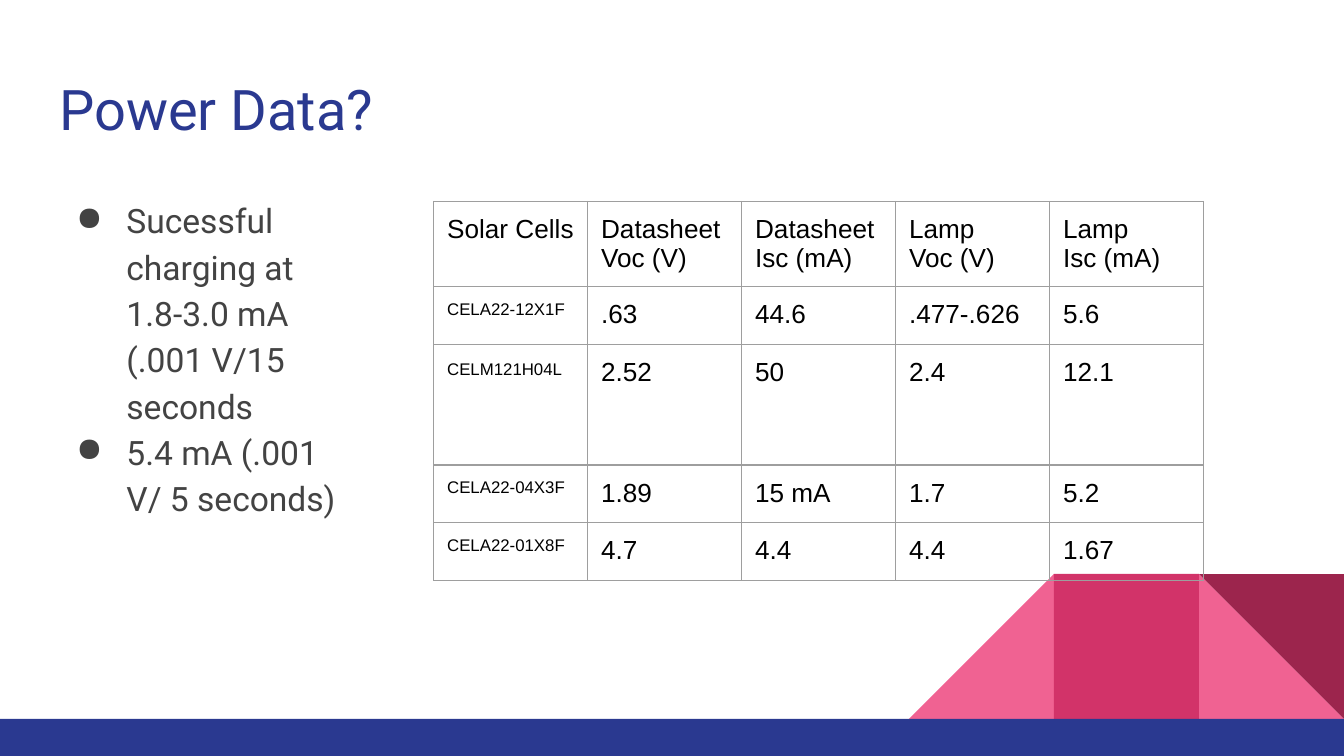
"""Build the solar cell power data slide."""
from dataclasses import dataclass
from typing import Any

import pptx
import pptx.dml.color
import pptx.enum.shapes
import pptx.enum.text
import pptx.oxml
import pptx.oxml.ns
import pptx.util

Cm, Pt = pptx.util.Cm, pptx.util.Pt
KIND = pptx.enum.shapes.MSO_SHAPE
ANCHOR = pptx.enum.text.MSO_ANCHOR
NS = pptx.oxml.ns.nsdecls("a")

COLORS = {
    "navy": "2A3990", "pink": "F06292", "rose": "D23369", "wine": "9C254D",
    "body": "434343", "black": "000000", "grid": "9E9E9E",
}
WIDTH, HEIGHT = 25.4, 14.29
TILE = 2.74
BAR_TOP = 13.59
TILE_TOP = BAR_TOP - TILE
INSET = Cm(0.25)
FRAME = {
    "margin_left": INSET, "margin_right": INSET,
    "margin_top": INSET, "margin_bottom": INSET,
}
TEXT_FRAME = {
    **FRAME, "word_wrap": True, "vertical_anchor": ANCHOR.TOP,
    "auto_size": pptx.enum.text.MSO_AUTO_SIZE.NONE,
}
CELL = {**FRAME, "vertical_anchor": ANCHOR.TOP}
COLUMN_WIDTH = 2.91
ROW_HEIGHTS = [1.6, 1.09, 2.28, 1.09, 1.09]
ROWS = [
    ["Solar Cells", "Datasheet Voc (V)", "Datasheet\nIsc (mA)",
     "Lamp\nVoc (V)", "Lamp\nIsc (mA)"],
    ["CELA22-12X1F", ".63", "44.6", ".477-.626", "5.6"],
    ["CELM121H04L", "2.52", "50", "2.4", "12.1"],
    ["CELA22-04X3F", "1.89", "15 mA", "1.7", "5.2"],
    ["CELA22-01X8F", "4.7", "4.4", "4.4", "1.67"],
]
TALL_ROW = 2
BULLETS = [
    "Sucessful charging at 1.8-3.0 mA (.001 V/15 seconds",
    "5.4 mA (.001 V/ 5 seconds)",
]


@dataclass
class Block:
    kind: Any
    left: float
    top: float
    width: float
    height: float
    color: str
    rotation: int = 0
    flip: bool = False


BLOCKS = [
    Block(KIND.RIGHT_TRIANGLE, WIDTH - TILE, TILE_TOP, TILE, TILE, "pink"),
    Block(KIND.RIGHT_TRIANGLE, WIDTH - 3 * TILE, TILE_TOP, TILE, TILE, "pink", flip=True),
    Block(KIND.RECTANGLE, WIDTH - 2 * TILE, TILE_TOP, TILE, TILE, "rose"),
    Block(KIND.RIGHT_TRIANGLE, WIDTH - TILE, TILE_TOP, TILE, TILE, "wine", rotation=180),
    Block(KIND.RECTANGLE, 0, BAR_TOP, WIDTH, HEIGHT - BAR_TOP, "navy"),
]


def rgb(name: str) -> pptx.dml.color.RGBColor:
    """Return a named colour."""
    return pptx.dml.color.RGBColor.from_string(COLORS[name])


def apply(target: Any, values: dict[str, Any]) -> None:
    """Set every attribute in values on target."""
    for name, value in values.items():
        setattr(target, name, value)


def style(p: Any, font: str, size: float, color: str, **paragraph: Any) -> None:
    """Format a paragraph and its runs."""
    apply(p, {"alignment": pptx.enum.text.PP_ALIGN.LEFT, **paragraph})
    for r in p.runs:
        apply(r.font, {"name": font, "size": Pt(size), "bold": False})
        r.font.color.rgb = rgb(color)


def draw_block(s: Any, block: Block) -> None:
    """Draw one flat decorative shape."""
    sp = s.shapes.add_shape(
        block.kind, Cm(block.left), Cm(block.top), Cm(block.width), Cm(block.height))
    sp.shadow.inherit = False
    sp.fill.solid()
    sp.fill.fore_color.rgb = rgb(block.color)
    sp.line.fill.background()
    sp.rotation = block.rotation
    if block.flip:
        sp._element.spPr.get_or_add_xfrm().set("flipH", "1")


def draw_title(s: Any, text: str) -> None:
    """Place and format the title."""
    sp = s.shapes.title
    apply(sp, {"left": Cm(0.87), "top": Cm(1.15), "width": Cm(23.67), "height": Cm(1.68)})
    sp.text_frame.text = text
    apply(sp.text_frame, TEXT_FRAME)
    style(sp.text_frame.paragraphs[0], "Roboto", 30, "navy", line_spacing=1.0)


def draw_bullets(s: Any, items: list[str]) -> None:
    """Draw the bulleted text."""
    tf = s.shapes.add_textbox(Cm(0.87), Cm(3.42), Cm(5.92), Cm(9.27)).text_frame
    apply(tf, TEXT_FRAME)
    tf.text = "\n".join(items)
    for p in tf.paragraphs:
        style(p, "Roboto", 18, "body", line_spacing=1.15)
        pPr = p._p.get_or_add_pPr()
        pPr.set("marL", str(Cm(1.27)))
        pPr.set("indent", str(-Cm(0.95)))
        pPr.append(pptx.oxml.parse_xml(f'<a:buChar {NS} char="●"/>'))


def draw_borders(cell: Any) -> None:
    """Give a cell thin lines on all four sides."""
    tcPr = cell._tc.get_or_add_tcPr()
    for side in "LRTB":
        tcPr.append(pptx.oxml.parse_xml(
            f'<a:ln{side} {NS} w="{Pt(0.75)}"><a:solidFill>'
            f'<a:srgbClr val="{COLORS["grid"]}"/></a:solidFill></a:ln{side}>'))


def draw_table(s: Any, rows: list[list[str]]) -> None:
    """Draw the table of cell measurements."""
    count = len(rows[0])
    table = s.shapes.add_table(
        len(rows), count, Cm(8.2), Cm(3.81),
        Cm(COLUMN_WIDTH * count), Cm(sum(ROW_HEIGHTS))).table
    apply(table, {"first_row": False, "horz_banding": False})
    for column in table.columns:
        column.width = Cm(COLUMN_WIDTH)
    for i, texts in enumerate(rows):
        table.rows[i].height = Cm(ROW_HEIGHTS[i])
        for j, text in enumerate(texts):
            cell = table.cell(i, j)
            cell.text = text
            apply(cell, CELL)
            draw_borders(cell)
            cell.fill.background()
            is_part = i > 0 and j == 0
            spacing = 1.15 if is_part and i == TALL_ROW else 1.0
            for p in cell.text_frame.paragraphs:
                style(p, "Arial", 9 if is_part else 14, "black", line_spacing=spacing)


def main() -> None:
    """Build and save the slide."""
    prs = pptx.Presentation()
    apply(prs, {"slide_width": Cm(WIDTH), "slide_height": Cm(HEIGHT)})
    s = prs.slides.add_slide(prs.slide_layouts[5])
    for block in BLOCKS:
        draw_block(s, block)
    draw_title(s, "Power Data?")
    draw_bullets(s, BULLETS)
    draw_table(s, ROWS)
    prs.save("out.pptx")


if __name__ == "__main__":
    main()
